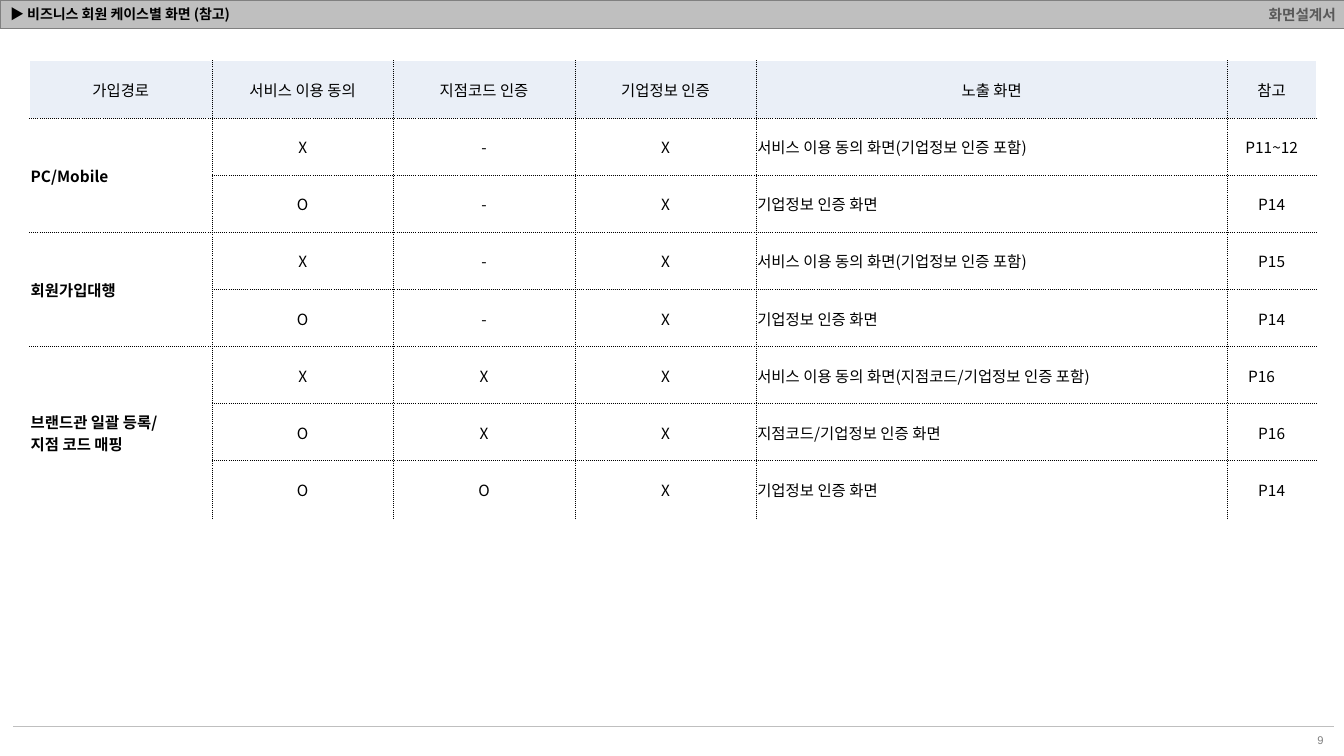
"""Build the slide that lists the screens shown for each business member case."""
from dataclasses import dataclass
from typing import NamedTuple

from lxml import etree
from pptx import Presentation
from pptx.dml.color import RGBColor
from pptx.enum.shapes import MSO_CONNECTOR
from pptx.enum.text import MSO_ANCHOR, MSO_AUTO_SIZE, PP_ALIGN
from pptx.oxml.ns import qn
from pptx.slide import Slide
from pptx.table import Table
from pptx.text.text import TextFrame
from pptx.util import Pt

LEFT, MID, RIGHT = PP_ALIGN.LEFT, PP_ALIGN.CENTER, PP_ALIGN.RIGHT
CENTER = MSO_ANCHOR.MIDDLE
NO_FIT = MSO_AUTO_SIZE.NONE
STRAIGHT = MSO_CONNECTOR.STRAIGHT


@dataclass(frozen=True)
class Theme:
    sans: str = "Arial"
    korean: str = "Noto Sans CJK KR"
    black: str = "000000"
    white: str = "FFFFFF"
    head: str = "EAEFF7"
    bar: str = "BFBFBF"
    edge: str = "808080"
    label: str = "595959"
    title_size: float = 10
    label_size: float = 10.5
    body_size: float = 11
    page_size: float = 8


T = Theme()


class Style(NamedTuple):
    font: str
    size: float
    color: str
    bold: bool = False


class Line(NamedTuple):
    color: str
    width: float
    dash: str = "solid"


class Box(NamedTuple):
    left: float
    top: float
    width: float
    height: float


class Case(NamedTuple):
    agree: str
    code: str
    firm: str
    view: str
    page: str
    shift: float = 0


@dataclass(frozen=True)
class Route:
    lines: tuple[str, ...]
    cases: tuple[Case, ...]


TITLE = Style(T.korean, T.title_size, T.black, True)
LABEL = Style(T.sans, T.label_size, T.label, True)
PAGE = Style(T.sans, T.page_size, T.edge)
BODY = Style(T.korean, T.body_size, T.black)
STRONG = BODY._replace(bold=True)
DOT = Line(T.black, 0.25, "dot")
BLANK = Line(T.white, 1)
RIM = Line(T.edge, 0.25)

FULL = "서비스 이용 동의 화면(기업정보 인증 포함)"
FIRM = "기업정보 인증 화면"
HEADS = ("가입경로", "서비스 이용 동의", "지점코드 인증", "기업정보 인증", "노출 화면", "참고")
WIDTHS = (130.2, 129.6, 129.6, 129.6, 336.4, 63.6)
ROW = 40.8
ROUTES = (
    Route(("PC/Mobile",), (
        Case("X", "-", "X", FULL, "P11~12"),
        Case("O", "-", "X", FIRM, "P14"),
    )),
    Route(("회원가입대행",), (
        Case("X", "-", "X", FULL, "P15"),
        Case("O", "-", "X", FIRM, "P14"),
    )),
    Route(("브랜드관 일괄 등록/", "지점 코드 매핑"), (
        Case("X", "X", "X", "서비스 이용 동의 화면(지점코드/기업정보 인증 포함)", "P16", 14.4),
        Case("O", "X", "X", "지점코드/기업정보 인증 화면", "P16"),
        Case("O", "O", "X", FIRM, "P14"),
    )),
)


def write(frame: TextFrame, lines: tuple[str, ...], style: Style, align: PP_ALIGN) -> None:
    """Write one styled paragraph per line."""
    for i, text in enumerate(lines):
        para = frame.add_paragraph() if i else frame.paragraphs[0]
        para.alignment = align
        run = para.add_run()
        run.text = text
        font = run.font
        font.size, font.bold, font.name = Pt(style.size), style.bold, style.font
        font.color.rgb = RGBColor.from_string(style.color)
        east = etree.SubElement(run.font._element, qn("a:ea"))
        east.set("typeface", T.korean)


def add_grid(slide: Slide, box: Box, rows: int, widths: tuple[float, ...]) -> Table:
    """Add a table without banding, with the given column widths."""
    table = slide.shapes.add_table(rows, len(widths), *map(Pt, box)).table
    table.first_row = table.horz_banding = False
    for col, width in zip(table.columns, widths):
        col.width = Pt(width)
    for row in table.rows:
        row.height = Pt(box.height / rows)
    return table


def format_cell(table: Table, row: int, col: int, fill: str, pads: Box, edges: dict[str, Line]) -> None:
    """Set the borders, fill, margins and anchor of a cell."""
    cell = table.cell(row, col)
    cell.vertical_anchor = CENTER
    cell.margin_left, cell.margin_top, cell.margin_right, cell.margin_bottom = map(Pt, pads)
    props = cell._tc.get_or_add_tcPr()
    for side, line in edges.items():
        border = etree.SubElement(props, qn(f"a:ln{side}"), w=str(Pt(line.width)))
        paint = etree.SubElement(border, qn("a:solidFill"))
        etree.SubElement(paint, qn("a:srgbClr"), val=line.color)
        etree.SubElement(border, qn("a:prstDash"), val=line.dash)
    cell.fill.solid()
    cell.fill.fore_color.rgb = RGBColor.from_string(fill)


def add_bar(slide: Slide) -> None:
    """Add the grey header bar and set the title over it."""
    table = add_grid(slide, Box(0, 0, 960, 20.16), 1, (960,))
    format_cell(table, 0, 0, T.bar, Box(5.76, 1.44, 5.76, 1.44), dict.fromkeys("LRTB", RIM))
    frame = table.cell(0, 0).text_frame
    write(frame, ("화면설계서",), LABEL, RIGHT)
    frame.paragraphs[0].space_before = Pt(2.1)
    title = slide.shapes.title
    title.left, title.top, title.width, title.height = map(Pt, Box(0, 0, 714.24, 20.88))
    frame = title.text_frame
    frame.auto_size, frame.vertical_anchor = NO_FIT, CENTER
    write(frame, ("▶ 비즈니스 회원 케이스별 화면 (참고)",), TITLE, LEFT)
    frame.paragraphs[0].line_spacing = 0.9
    slide.shapes[-1].element.addnext(title.element)


def add_foot(slide: Slide) -> None:
    """Add the footer rule and the page number."""
    rule = slide.shapes.add_connector(STRAIGHT, Pt(9.36), Pt(519.12), Pt(952.56), Pt(519.12))
    rule.line.width = Pt(0.75)
    rule.line.color.rgb = RGBColor.from_string(T.bar)
    etree.SubElement(rule.element.spPr, qn("a:effectLst"))
    frame = slide.shapes.add_textbox(*map(Pt, Box(918.72, 521.28, 33.84, 15.12))).text_frame
    frame.word_wrap, frame.vertical_anchor = True, CENTER
    write(frame, ("9",), PAGE, RIGHT)


def add_cases(slide: Slide) -> None:
    """Add the table of cases, one merged first cell per route."""
    cases = [case for route in ROUTES for case in route.cases]
    rows, cols = len(cases) + 1, len(HEADS)
    table = add_grid(slide, Box(21.2, 43.4, sum(WIDTHS), ROW * rows), rows, WIDTHS)
    top = 1
    for route in ROUTES:
        size = len(route.cases)
        table.cell(top, 0).merge(table.cell(top + size - 1, 0))
        write(table.cell(top, 0).text_frame, route.lines, STRONG, LEFT)
        top += size
    for col, head in enumerate(HEADS):
        write(table.cell(0, col).text_frame, (head,), BODY, MID)
    for row, case in enumerate(cases, 1):
        for col, text in enumerate(case[:5], 1):
            write(table.cell(row, col).text_frame, (text,), BODY, LEFT if col == 4 else MID)
    for row in range(rows):
        for col in range(cols):
            cell = table.cell(row, col)
            end = row + (cell.span_height if cell.is_merge_origin else 1)
            outer = {"L": col == 0, "R": col == cols - 1, "T": row == 0, "B": end == rows}
            edges = {side: BLANK if out else DOT for side, out in outer.items()}
            shift = cases[row - 1].shift if row and col == cols - 1 else 0
            format_cell(table, row, col, T.white if row else T.head, Box(0.72, 0.72, 0.72 + shift, 0), edges)


def main() -> None:
    """Build and save the slide."""
    deck = Presentation()
    deck.slide_width, deck.slide_height = Pt(960), Pt(540)
    slide = deck.slides.add_slide(deck.slide_layouts[5])
    add_bar(slide)
    add_foot(slide)
    add_cases(slide)
    deck.save("out.pptx")


if __name__ == "__main__":
    main()
